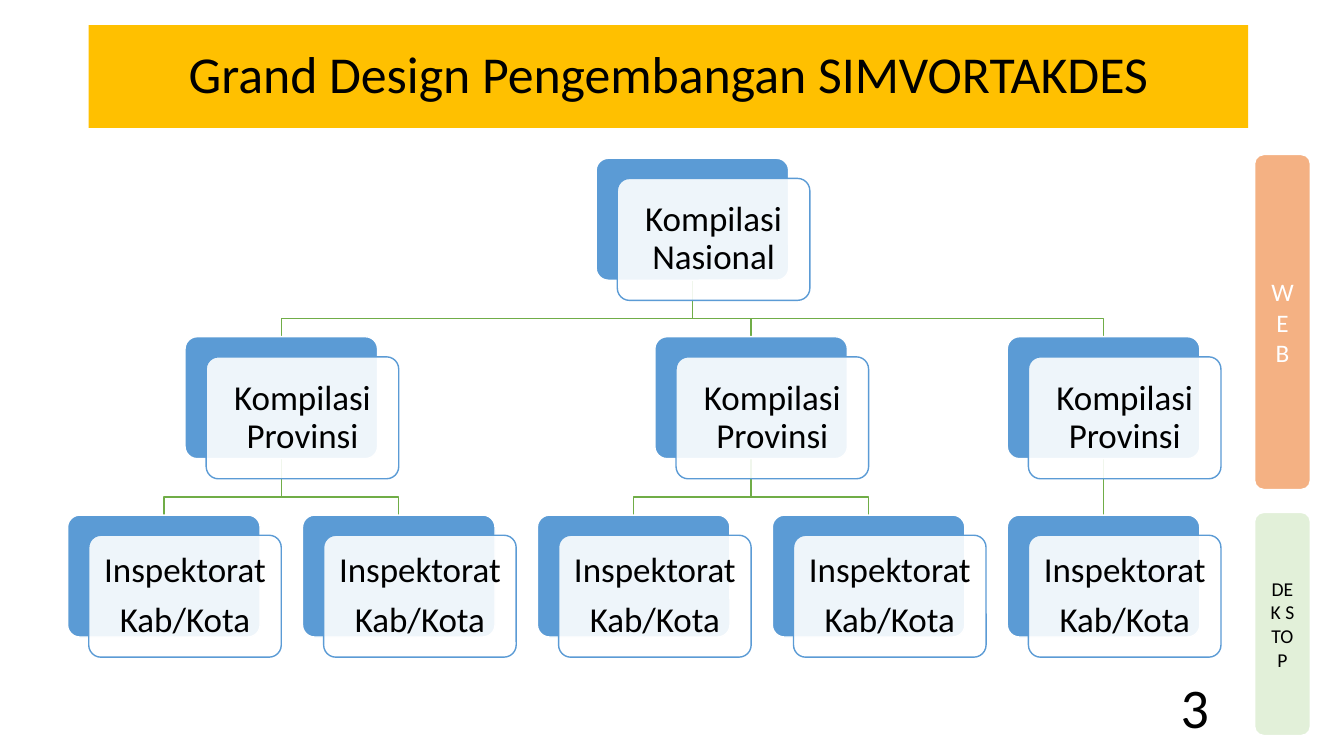
from lxml import etree
from pptx import Presentation
from pptx.dml.color import RGBColor
from pptx.enum import shapes, text
from pptx.oxml.ns import qn
from pptx.util import Inches, Pt

TITLE = "Grand Design Pengembangan SIMVORTAKDES"
PAGE_NUMBER = "3"
FONT = "Calibri"
C = {"gold": "FFC000", "blue": "5B9BD5", "green": "70AD47", "orange": "F4B183",
     "mint": "E2F0D9", "white": "FFFFFF", "black": "000000"}

# Each node is (lines of text, children)
OFFICE = (["Inspektorat", "Kab/Kota"], [])
PROVINCE = ["Kompilasi Provinsi"]
TREE = (["Kompilasi Nasional"], [
    (PROVINCE, [OFFICE, OFFICE]),
    (PROVINCE, [OFFICE, OFFICE]),
    (PROVINCE, [OFFICE]),
])
# label, top, height, fill, font colour, font size
PLATFORMS = [
    ("WEB", 1.53, 3.33, "orange", "white", 18),
    ("DEK S TOP", 5.08, 2.22, "mint", "black", 14),
]

CARD_W, CARD_H = 1.91, 1.21
FACE_DX, FACE_DY = 0.21, 0.2
LEFT, TOP = 0.67, 1.57
COLUMN_STEP, LEVEL_STEP = 2.33, 1.77
BUS_DROP = 0.38


def rgb(name):
    return RGBColor.from_string(C[name])


def write(sp, lines, size, color="black", align=text.PP_ALIGN.CENTER,
          inset=(0.1, 0.05), spacing=None, after=None):
    tf = sp.text_frame
    tf.word_wrap = True
    tf.vertical_anchor = text.MSO_ANCHOR.MIDDLE
    tf.margin_left = tf.margin_right = Inches(inset[0])
    tf.margin_top = tf.margin_bottom = Inches(inset[1])
    tf.text = "\n".join(lines)
    for p in tf.paragraphs:
        p.alignment = align
        p.line_spacing = spacing
        p.space_after = after
        p.font.size = Pt(size)
        p.font.name = FONT
        p.font.color.rgb = rgb(color)


def add_box(slide, kind, box, fill, line, weight):
    sp = slide.shapes.add_shape(kind, *map(Inches, box))
    sp.shadow.inherit = False
    sp.fill.solid()
    sp.fill.fore_color.rgb = rgb(fill)
    sp.line.color.rgb = rgb(line)
    sp.line.width = Pt(weight)
    return sp


def place(node, level, columns, cards, links):
    """Centre each parent over its children; return the card's left edge."""
    lines, children = node
    y = TOP + level * LEVEL_STEP
    xs = [place(child, level + 1, columns, cards, links) for child in children]
    x = (xs[0] + xs[-1]) / 2 if xs else LEFT + COLUMN_STEP * next(columns)
    cards.append((x, y, lines))
    links += [(x, child_x, y) for child_x in xs]
    return x


def add_link(slide, parent_x, child_x, parent_y):
    x1, x2 = parent_x + CARD_W / 2, child_x + CARD_W / 2
    y1, y2 = parent_y + CARD_H, parent_y + LEVEL_STEP
    if abs(x1 - x2) < 0.01:
        link = slide.shapes.add_connector(
            shapes.MSO_CONNECTOR.STRAIGHT, *map(Inches, (x1, y1, x2, y2)))
        etree.SubElement(link._element.spPr, qn("a:effectLst"))
    else:
        bus = y1 + BUS_DROP
        path = slide.shapes.build_freeform(Inches(x1), Inches(y1))
        path.add_line_segments(
            [(Inches(x), Inches(y)) for x, y in ((x1, bus), (x2, bus), (x2, y2))],
            close=False)
        link = path.convert_to_shape()
        link.shadow.inherit = False
        link.fill.background()
    link.line.color.rgb = rgb("green")
    link.line.width = Pt(1)


def add_card(slide, x, y, lines):
    rounded = shapes.MSO_SHAPE.ROUNDED_RECTANGLE
    back = add_box(slide, rounded, (x, y, CARD_W, CARD_H), "blue", "white", 1)
    face = add_box(slide, rounded, (x + FACE_DX, y + FACE_DY, CARD_W, CARD_H),
                   "white", "blue", 1)
    for sp in (back, face):
        sp.adjustments[0] = 0.1
    color = face._element.spPr.find(qn("a:solidFill"))[0]
    etree.SubElement(color, qn("a:alpha"), val="90000")
    write(face, lines, 25, inset=(0.1, 0.1), spacing=0.9, after=Pt(8.75))


def main():
    prs = Presentation()
    prs.slide_width, prs.slide_height = Inches(13.33), Inches(7.5)
    slide = prs.slides.add_slide(prs.slide_layouts[5])

    title = slide.shapes.title
    title.left, title.top, title.width, title.height = map(
        Inches, (0.88, 0.25, 11.5, 1.02))
    title.fill.solid()
    title.fill.fore_color.rgb = rgb("gold")
    write(title, [TITLE], 37, spacing=0.9)

    cards, links = [], []
    place(TREE, 0, iter(range(5)), cards, links)
    for link in links:
        add_link(slide, *link)
    for card in cards:
        add_card(slide, *card)

    for label, top, height, fill, color, size in PLATFORMS:
        bar = add_box(slide, shapes.MSO_SHAPE.FLOWCHART_ALTERNATE_PROCESS,
                      (12.44, top, 0.56, height), fill, "white", 1.5)
        write(bar, [label], size, color, inset=(0.13, 0.07))

    number = slide.shapes.add_textbox(*map(Inches, (8.98, 6.81, 3.11, 0.4)))
    write(number, [PAGE_NUMBER], 40, align=text.PP_ALIGN.RIGHT)
    prs.save("out.pptx")


if __name__ == "__main__":
    main()
